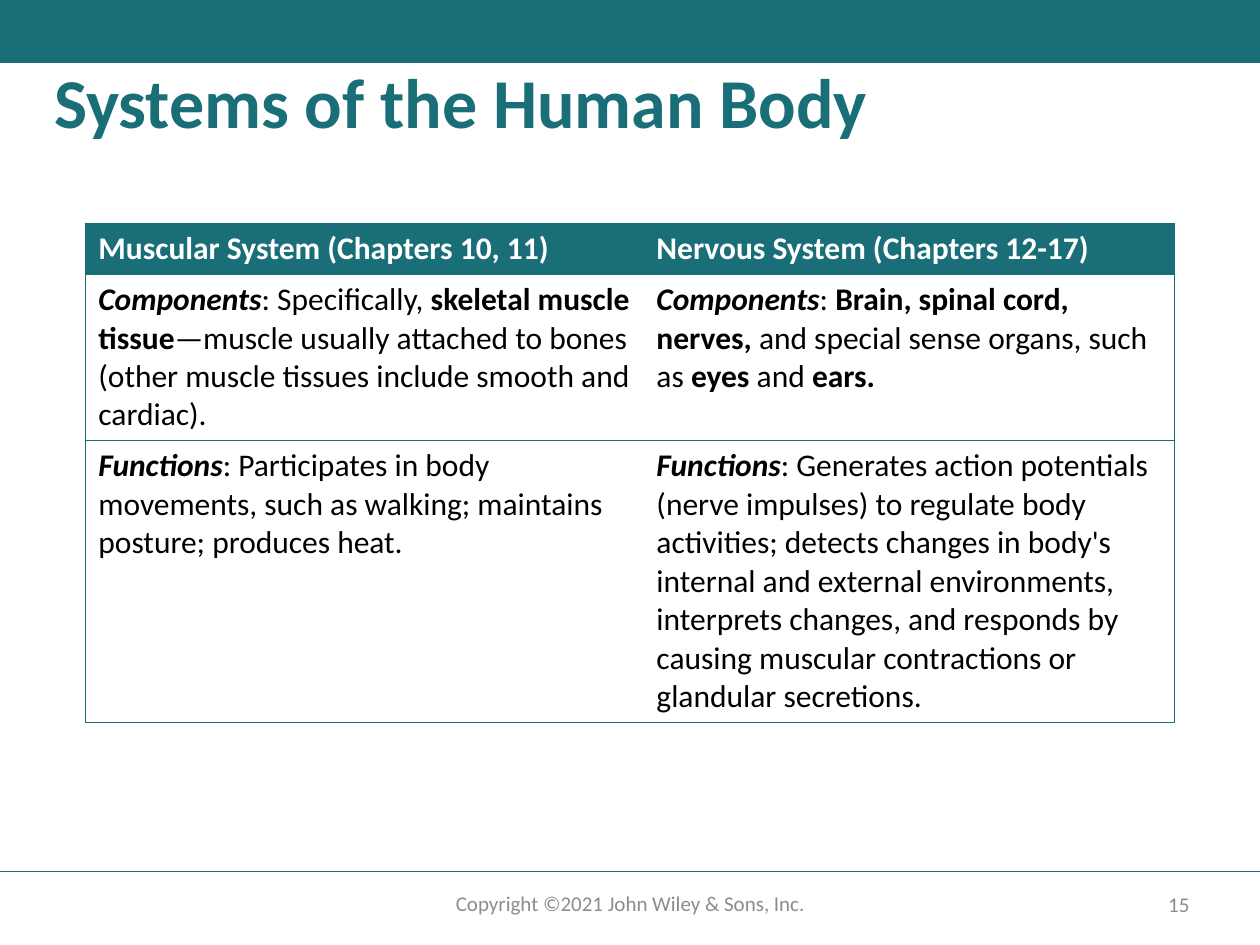
from lxml import etree
from pptx import Presentation
from pptx import util as u
from pptx.dml.color import RGBColor
from pptx.enum import shapes, text
from pptx.oxml.ns import qn

TITLE = [("Systems of the Human Body", "b")]
FOOTER = [("Copyright ©2021 John Wiley & Sons, Inc.", "")]
NUMBER = [("15", "")]
ROWS = [
    [
        [("Muscular System (Chapters 10, 11)", "b")],
        [("Nervous System (Chapters 12-17)", "b")],
    ],
    [
        [("Components", "bi"), (": Specifically, ", ""), ("skeletal muscle tissue", "b"),
         ("—muscle usually attached to bones (other muscle tissues include smooth "
          "and cardiac).", "")],
        [("Components", "bi"), (": ", ""), ("Brain, spinal cord, nerves, ", "b"),
         ("and special sense organs, such as", ""), (" eyes ", "b"), ("and ", ""),
         ("ears.", "b")],
    ],
    [
        [("Functions", "bi"),
         (": Participates in body movements, such as walking; maintains posture; "
          "produces heat.", "")],
        [("Functions", "bi"),
         (": Generates action potentials (nerve impulses) to regulate body activities; "
          "detects changes in body's internal and external environments, interprets "
          "changes, and responds by causing muscular contractions or glandular "
          "secretions.", "")],
    ],
]
COL_WIDTHS = [11.25, 10.69]
ROW_HEIGHTS = [1.03, 3.35, 5.68]
NO_STYLE = "{2D5ABB26-0587-4C30-8999-92F81FD0307C}"
THEME = dict(font="Calibri", teal="196E78", white="FFFFFF", black="000000", grey="8C8C8C",
             title=40, body=18, small=12, rule=1, border=0.5)


def rgb(name):
    return RGBColor.from_string(THEME[name])


def write(tf, runs, size="body", color="black", align=text.PP_ALIGN.LEFT, spacing=None):
    p = tf.paragraphs[0]
    p.alignment = align
    p.line_spacing = spacing
    for words, style in runs:
        r = p.add_run()
        r.text = words
        r.font.name, r.font.size = THEME["font"], u.Pt(THEME[size])
        r.font.color.rgb = rgb(color)
        r.font.bold, r.font.italic = "b" in style, "i" in style


def add_text(s, box, runs, anchor=text.MSO_ANCHOR.TOP, **fmt):
    tf = s.shapes.add_textbox(*map(u.Cm, box)).text_frame
    tf.word_wrap, tf.vertical_anchor = True, anchor
    write(tf, runs, **fmt)


def set_borders(cell, sides):
    tc_pr = cell._tc.get_or_add_tcPr()
    for side in sides:
        ln = etree.SubElement(tc_pr, qn(f"a:ln{side}"), w=str(u.Pt(THEME["border"])))
        fill = etree.SubElement(ln, qn("a:solidFill"))
        etree.SubElement(fill, qn("a:srgbClr"), val=THEME["teal"])


def add_systems_table(s, left, top):
    size = sum(COL_WIDTHS), sum(ROW_HEIGHTS)
    frame = s.shapes.add_table(len(ROWS), len(COL_WIDTHS), *map(u.Cm, (left, top, *size)))
    table = frame.table
    table.horz_banding = False
    table._tbl.tblPr.find(qn("a:tableStyleId")).text = NO_STYLE
    for col, width in zip(table.columns, COL_WIDTHS):
        col.width = u.Cm(width)
    for i, row in enumerate(ROWS):
        table.rows[i].height = u.Cm(ROW_HEIGHTS[i])
        for j, runs in enumerate(row):
            cell = table.cell(i, j)
            set_borders(cell, ["L" if j == 0 else "R", "T", "B"])
            if i == 0:
                cell.fill.solid()
                cell.fill.fore_color.rgb = rgb("teal")
            else:
                cell.fill.background()
            write(cell.text_frame, runs, color="black" if i else "white")


def main():
    """Build the body systems slide."""
    prs = Presentation()
    prs.slide_width, prs.slide_height = u.Cm(25.4), u.Cm(19.05)
    s = prs.slides.add_slide(prs.slide_layouts[6])

    bar = s.shapes.add_shape(shapes.MSO_SHAPE.RECTANGLE, 0, 0, prs.slide_width, u.Cm(1.27))
    bar.shadow.inherit = False
    bar.fill.solid()
    bar.fill.fore_color.rgb = rgb("teal")
    bar.line.fill.background()

    y = u.Cm(17.57)
    rule = s.shapes.add_connector(shapes.MSO_CONNECTOR.STRAIGHT, 0, y, prs.slide_width, y)
    rule.line.color.rgb = rgb("teal")
    rule.line.width = u.Pt(THEME["rule"])
    etree.SubElement(rule._element.spPr, qn("a:effectLst"))

    small = dict(size="small", color="grey", align=text.PP_ALIGN.CENTER)
    add_text(s, (8.15, 17.83, 9.12, 0.76), FOOTER, **small)
    add_text(s, (22.99, 17.88, 1.55, 0.71), NUMBER, anchor=text.MSO_ANCHOR.MIDDLE, **small)
    add_text(s, (0.84, 1.24, 23.7, 2.34), TITLE, size="title", color="teal", spacing=0.9)
    add_systems_table(s, 1.73, 4.5)
    prs.save("out.pptx")


if __name__ == "__main__":
    main()
